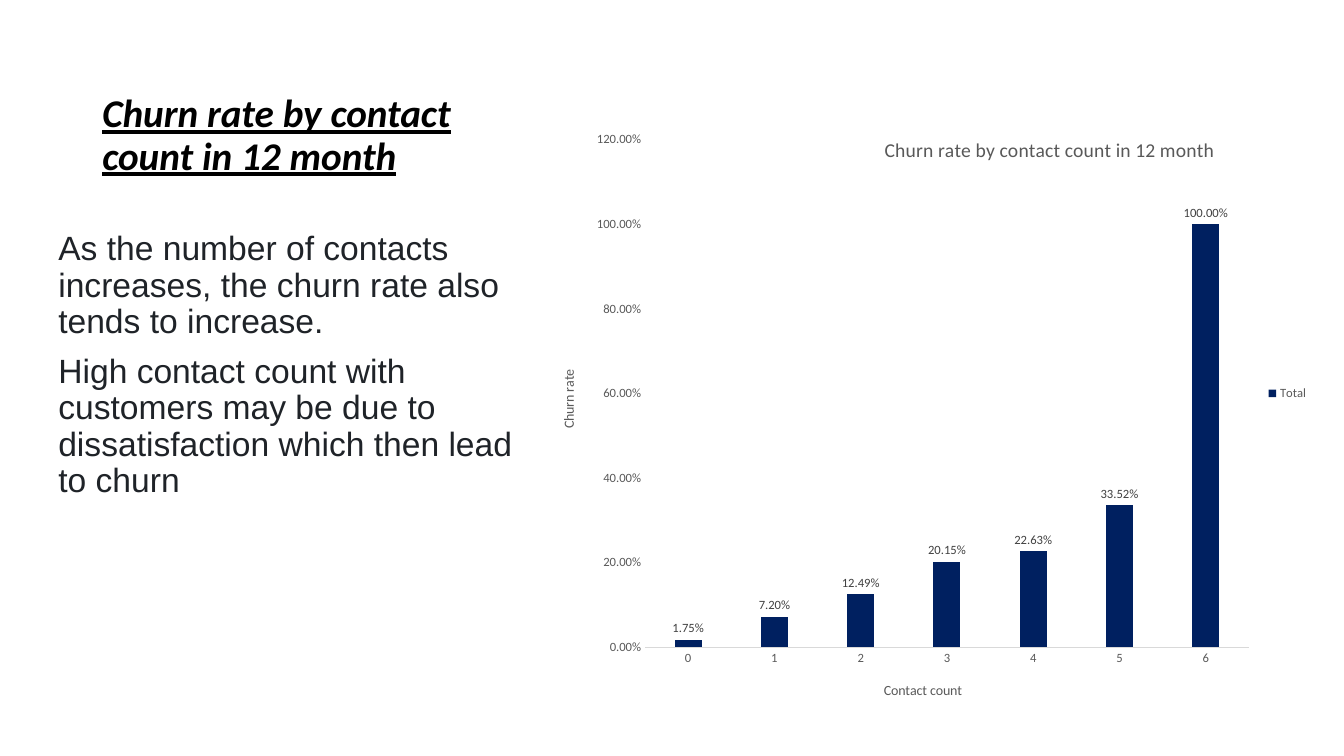
from pptx import Presentation
from pptx import util as u
from pptx.chart.data import CategoryChartData
from pptx.dml.color import RGBColor
from pptx.enum import chart as charts, text
from pptx.oxml import parse_xml
from pptx.oxml.ns import nsdecls, qn

BLACK = RGBColor(0x00, 0x00, 0x00)
INK = RGBColor(0x1F, 0x23, 0x28)
NAVY = RGBColor(0x00, 0x20, 0x60)
GREY = RGBColor(0x59, 0x59, 0x59)
LABEL_GREY = RGBColor(0x40, 0x40, 0x40)
RULE_GREY = RGBColor(0xD9, 0xD9, 0xD9)

HEADING = "Churn rate by contact count in 12 month"
FINDINGS = [
    "As the number of contacts increases, the churn rate also tends to increase.",
    "High contact count with customers may be due to dissatisfaction which then lead to churn",
]
CHURN_RATES = [0.0175, 0.072, 0.1249, 0.2015, 0.2263, 0.3352, 1]
PERCENT = "0.00%"


def set_font(font, size, color, name="Calibri", bold=False, italic=False, underline=False):
    font.size, font.name = u.Pt(size), name
    font.bold, font.italic, font.underline = bold, italic, underline
    font.color.rgb = color


def set_layout(element, position, target=None, **fractions):
    """Fix a chart part at fractions of the chart's width and height."""
    for old in element.findall(qn("c:layout")):
        element.remove(old)
    parts = [f'<c:layoutTarget val="{target}"/>'] if target else []
    parts += [f'<c:{axis}Mode val="edge"/>' for axis in "xy"]
    parts += [f'<c:{key} val="{value}"/>' for key, value in fractions.items()]
    element.insert(position, parse_xml(
        f'<c:layout {nsdecls("c")}><c:manualLayout>{"".join(parts)}</c:manualLayout></c:layout>'))


class ChurnSlide:
    """The slide and the style of its elements."""

    def __init__(self, presentation):
        self.slide = presentation.slides.add_slide(presentation.slide_layouts[6])

    def text_box(self, box, paragraphs, anchor, space_before=0, bottom=3.6, **style):
        frame = self.slide.shapes.add_textbox(*map(u.Pt, box)).text_frame
        frame.word_wrap = True
        frame.vertical_anchor = anchor
        frame.margin_bottom = u.Pt(bottom)
        for index, words in enumerate(paragraphs):
            paragraph = frame.add_paragraph() if index else frame.paragraphs[0]
            paragraph.line_spacing = 0.9
            paragraph.space_before = u.Pt(space_before)
            run = paragraph.add_run()
            run.text = words
            set_font(run.font, **style)

    def chart_caption(self, owner, words, size):
        run = owner.text_frame.paragraphs[0].add_run()
        run.text = words
        set_font(run.font, size, GREY)

    def axis(self, axis, title):
        self.chart_caption(axis.axis_title, title, 10)
        axis.has_major_gridlines = False
        axis.major_tick_mark = axis.minor_tick_mark = charts.XL_TICK_MARK.NONE
        set_font(axis.tick_labels.font, 9, GREY)

    def column_chart(self, box, title, categories, name, values):
        data = CategoryChartData(number_format=PERCENT)
        data.categories = categories
        data.add_series(name, values)
        chart = self.slide.shapes.add_chart(
            charts.XL_CHART_TYPE.COLUMN_CLUSTERED, *map(u.Pt, box), data).chart
        set_font(chart.font, 10, BLACK)

        self.chart_caption(chart.chart_title, title, 14)
        title_element = chart.chart_title._element
        set_layout(title_element, 1, x=0.44, y=0.1)
        title_element.find(qn("c:overlay")).set("val", "1")
        plot_area = chart._chartSpace.chart.plotArea
        set_layout(plot_area, 0, "inner", x=0.138, y=0.111, w=0.773, h=0.778)

        self.axis(chart.category_axis, "Contact count")
        chart.category_axis.format.line.color.rgb = RULE_GREY
        chart.category_axis.format.line.width = u.Pt(0.75)
        value_axis = chart.value_axis
        self.axis(value_axis, "Churn rate")
        value_axis.format.line.fill.background()
        value_axis.minimum_scale, value_axis.maximum_scale = 0, 1.2
        value_axis.major_unit = 0.2
        value_axis.tick_labels.number_format = PERCENT
        value_axis.tick_labels.number_format_is_linked = False

        chart.has_legend = True
        chart.legend.position = charts.XL_LEGEND_POSITION.RIGHT
        chart.legend.include_in_layout = False
        set_font(chart.legend.font, 9, GREY)

        plot = chart.plots[0]
        plot.gap_width, plot.overlap = 219, -27
        plot.vary_by_categories = False
        series = plot.series[0]
        series.format.fill.solid()
        series.format.fill.fore_color.rgb = NAVY
        labels = series.data_labels
        labels.show_value = True
        labels.position = charts.XL_LABEL_POSITION.OUTSIDE_END
        labels.number_format = PERCENT
        labels.number_format_is_linked = False
        set_font(labels.font, 9, LABEL_GREY)


def main():
    presentation = Presentation()
    presentation.slide_width, presentation.slide_height = u.Pt(960), u.Pt(540)
    churn = ChurnSlide(presentation)
    churn.text_box((66, 36, 309.6, 126), [HEADING], text.MSO_ANCHOR.BOTTOM, bottom=34.3,
                   size=28, color=BLACK, bold=True, italic=True, underline=True)
    churn.text_box((34.6, 162, 340.6, 363.6), FINDINGS, text.MSO_ANCHOR.TOP, space_before=10,
                   size=24, color=INK, name="Arial")
    churn.column_chart((383.8, 48.2, 558, 465.8), HEADING,
                       [str(count) for count in range(len(CHURN_RATES))], "Total", CHURN_RATES)
    presentation.save("out.pptx")


if __name__ == "__main__":
    main()
